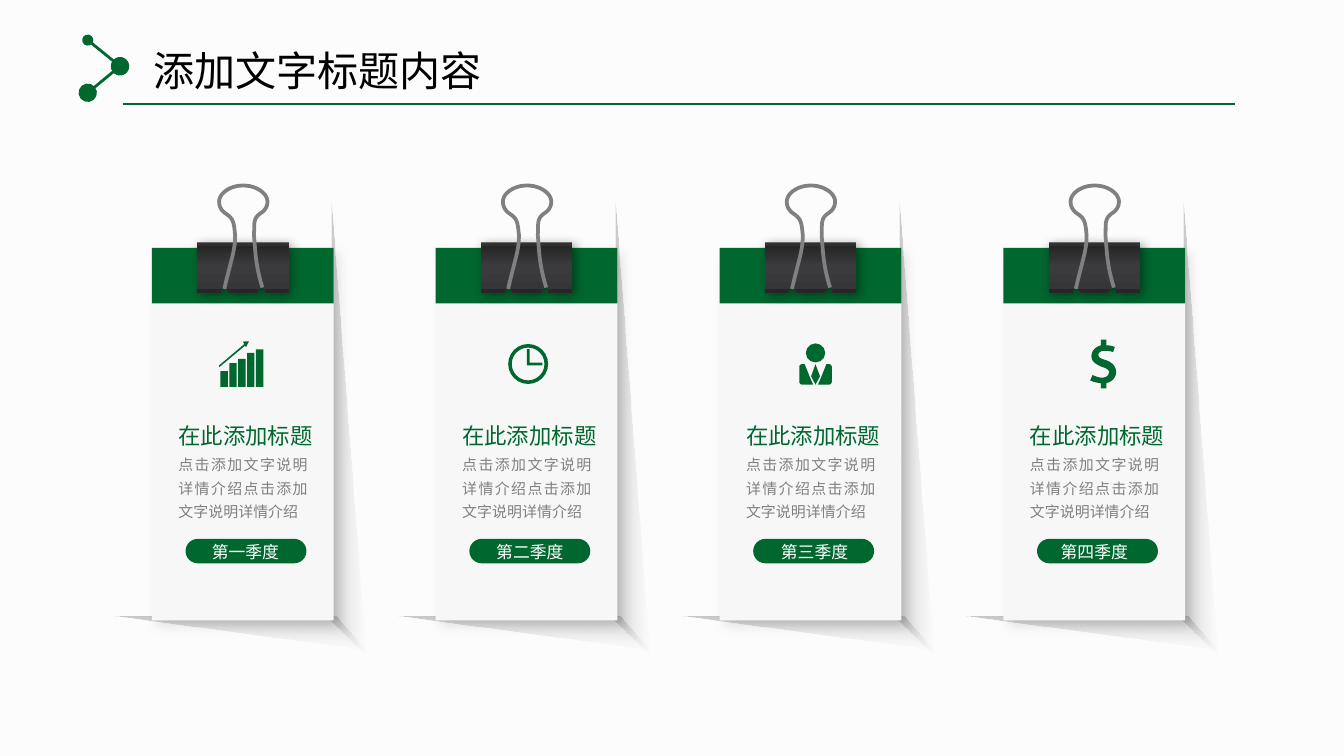
"""Build a slide of four quarterly cards held by binder clips."""
from dataclasses import dataclass
from typing import Callable

from lxml import etree
from pptx import Presentation
from pptx.dml.color import RGBColor
from pptx.enum.shapes import MSO_CONNECTOR, MSO_SHAPE
from pptx.enum.text import MSO_ANCHOR, MSO_AUTO_SIZE, PP_ALIGN
from pptx.oxml.ns import qn
from pptx.util import Pt

STRAIGHT = MSO_CONNECTOR.STRAIGHT
RECT, ROUND, OVAL, DONUT = (MSO_SHAPE.RECTANGLE, MSO_SHAPE.ROUNDED_RECTANGLE,
                            MSO_SHAPE.OVAL, MSO_SHAPE.DONUT)
LEFT, CENTER, JUSTIFY = PP_ALIGN.LEFT, PP_ALIGN.CENTER, PP_ALIGN.JUSTIFY
TOP, MIDDLE = MSO_ANCHOR.TOP, MSO_ANCHOR.MIDDLE
NO_RESIZE = MSO_AUTO_SIZE.NONE


@dataclass(frozen=True)
class Theme:
    """Colours, font and type sizes of the slide."""
    green: str = "00682F"
    paper: str = "F7F7F7"
    background: str = "FCFCFC"
    gray: str = "808080"
    white: str = "FFFFFF"
    black: str = "000000"
    font: str = "Noto Sans CJK SC"
    title: float = 22
    heading: float = 12
    label: float = 9
    body: float = 8


@dataclass(frozen=True)
class Stop:
    """One gradient stop, with position and opacity in percent."""
    position: int
    color: str
    opacity: int = 100


@dataclass(frozen=True)
class Shadow:
    """An outer shadow cast to the lower right."""
    opacity: int
    blur: float
    distance: float


@dataclass(frozen=True)
class Quarter:
    """One card: its label, the label's offset and its icon."""
    label: str
    label_left: float
    draw_icon: Callable


THEME = Theme()
FIRST_CARD, CARD_PITCH = 81.4, 152.05
CARD_TOP, CARD_WIDTH, CARD_HEIGHT = 132.8, 97.4, 199.6
FOLD = [Stop(0, THEME.gray, 44), Stop(100, "F3F3F3", 12)]
CLIP_METAL = [Stop(7, "313132"), Stop(7, "262626"), Stop(46, "3B3B3D"),
              Stop(93, "363638"), Stop(93, "262626")]
CLIP_BODY = [(24.2, 129.9), (73.4, 129.9), (73.4, 157), (60.4, 157), (60.4, 154.1),
             (58.2, 154.1), (56, 157), (41.6, 157), (39.4, 154.1), (37.2, 154.1),
             (37.2, 157), (24.2, 157)]
CLIP_WIRE = [(38.8, 154.8), (42.4, 139, 44.6, 134.6, 44.6, 126),
             (43.9, 120.2, 44.2, 117.4, 39.6, 114.5), (37.4, 113, 36, 110.9, 36, 108),
             (36, 103.7, 41.7, 99.4, 48.9, 99.4), (56.1, 99.4, 61.9, 103.7, 61.9, 108),
             (61.9, 110.9, 60.4, 113, 57.9, 114.5), (54, 117.4, 55, 120.2, 54.7, 126),
             (55.4, 134.6, 55.4, 141.8, 59.2, 154.1)]
DOLLAR = [(52.3, 208.1), (52.3, 205.2), (50.2, 205.2, 48, 204.5, 46.5, 203.8),
          (47.8, 200.9), (49.4, 201.6, 50.9, 202.3, 53, 202.3),
          (55.2, 202.3, 56.6, 200.9, 56.6, 199.4), (56.6, 198, 55.2, 197.3, 53, 196.6),
          (49.4, 195.1, 47.2, 193.7, 47.2, 190.8), (47.2, 187.9, 49.4, 185.8, 52.3, 185),
          (52.3, 182), (55.2, 182), (55.2, 185), (57.3, 185, 58.8, 185.5, 59.7, 185.9),
          (58.8, 188.6), (58, 188.4, 56.6, 187.9, 54.4, 187.9),
          (51.6, 187.9, 50.9, 189.4, 50.9, 190.1), (50.9, 191.5, 52.3, 192.2, 55.2, 193),
          (58.8, 194.4, 60.4, 196.6, 60.4, 199.4), (60.4, 201.6, 58.8, 204.5, 55.2, 205.2),
          (55.2, 208.1)]


def add_color(parent, color: str, opacity: int) -> None:
    """Add a colour with opacity to an XML element."""
    node = etree.SubElement(parent, qn("a:srgbClr"), val=color)
    etree.SubElement(node, qn("a:alpha"), val=str(opacity * 1000))


def paint(shape, fill: str | None, shadow: Shadow | None = None) -> None:
    """Set a plain fill, no outline and an optional shadow."""
    shape.fill.background()
    if fill:
        shape.fill.solid()
        shape.fill.fore_color.rgb = RGBColor.from_string(fill)
    shape.line.fill.background()
    shape.shadow.inherit = False
    if shadow:
        effects = shape._element.spPr.find(qn("a:effectLst"))
        outer = etree.SubElement(effects, qn("a:outerShdw"), blurRad=str(Pt(shadow.blur)),
                                 dist=str(Pt(shadow.distance)), dir=str(45 * 60000),
                                 algn="tl", rotWithShape="0")
        add_color(outer, THEME.black, shadow.opacity)


def paint_gradient(shape, stops: list[Stop], angle: int) -> None:
    """Replace an empty fill by a linear gradient."""
    properties = shape._element.spPr
    gradient = etree.Element(qn("a:gradFill"), rotWithShape="1")
    stop_list = etree.SubElement(gradient, qn("a:gsLst"))
    for stop in stops:
        node = etree.SubElement(stop_list, qn("a:gs"), pos=str(stop.position * 1000))
        add_color(node, stop.color, stop.opacity)
    etree.SubElement(gradient, qn("a:lin"), ang=str(angle * 60000), scaled="0")
    properties.replace(properties.find(qn("a:noFill")), gradient)


def add_block(slide, kind, left: float, top: float, width: float, height: float,
              fill: str = THEME.green, shadow: Shadow | None = None):
    """Add a filled preset shape."""
    block = slide.shapes.add_shape(kind, Pt(left), Pt(top), Pt(width), Pt(height))
    paint(block, fill, shadow)
    return block


def flatten(segments: list[tuple], steps: int = 12) -> list[tuple]:
    """Turn points and cubic curve segments into a list of points."""
    points = []
    for segment in segments:
        if len(segment) == 2:
            points.append(segment)
            continue
        controls = [points[-1], segment[:2], segment[2:4], segment[4:]]
        for step in range(1, steps + 1):
            t = step / steps
            weights = ((1 - t) ** 3, 3 * t * (1 - t) ** 2, 3 * t * t * (1 - t), t ** 3)
            points.append(tuple(sum(w * c[axis] for w, c in zip(weights, controls))
                                for axis in (0, 1)))
    return points


def add_outline(slide, left: float, segments: list[tuple], fill: str | None = THEME.green,
                shadow: Shadow | None = None, closed: bool = True):
    """Add a freeform whose x values start at left."""
    points = [(Pt(left + x), Pt(y)) for x, y in flatten(segments)]
    builder = slide.shapes.build_freeform(*points[0])
    builder.add_line_segments(points[1:], close=closed)
    outline = builder.convert_to_shape()
    paint(outline, fill, shadow)
    return outline


def write(frame, text: str, *, size: float, color: str, align=LEFT, anchor=MIDDLE,
          spacing: float | None = None, wrap: bool = False) -> None:
    """Write one formatted paragraph into a text frame."""
    frame.word_wrap, frame.auto_size, frame.vertical_anchor = wrap, NO_RESIZE, anchor
    paragraph = frame.paragraphs[0]
    paragraph.alignment = align
    if spacing:
        paragraph.line_spacing = Pt(spacing)
    run = paragraph.add_run()
    run.text = text
    run.font.size, run.font.name = Pt(size), THEME.font
    run.font.color.rgb = RGBColor.from_string(color)
    etree.SubElement(run._r.get_or_add_rPr(), qn("a:ea"), typeface=THEME.font)


def add_text(slide, left: float, top: float, width: float, height: float, text: str,
             **style) -> None:
    """Add a text box."""
    box = slide.shapes.add_textbox(Pt(left), Pt(top), Pt(width), Pt(height))
    write(box.text_frame, text, **style)


def add_line(slide, start: tuple, end: tuple, width: float, dots: dict[str, str]) -> None:
    """Add a green line with round ends of the given sizes."""
    line = slide.shapes.add_connector(STRAIGHT, *map(Pt, start + end))
    line.line.color.rgb = RGBColor.from_string(THEME.green)
    line.line.width = Pt(width)
    for end_name, size in dots.items():
        etree.SubElement(line.line._get_or_add_ln(), qn(f"a:{end_name}"),
                         type="oval", w=size, len=size)
    etree.SubElement(line._element.spPr, qn("a:effectLst"))


def draw_growth(slide, left: float) -> None:
    """Draw rising bars under an arrow."""
    for index, height in enumerate((8.5, 12.8, 15, 18.2, 20.1)):
        add_block(slide, RECT, left + 36.7 + 4.75 * index, 207.3 - height, 4, height)
    add_outline(slide, left, [(35.8, 195.9), (50.4, 183.6), (51, 184.3), (36.2, 196.6)])
    add_outline(slide, left, [(48.7, 183), (52, 182.9), (50.4, 186)])


def draw_clock(slide, left: float) -> None:
    """Draw a clock face with two hands."""
    face = add_block(slide, DONUT, left + 38.8, 184.3, 21.4, 21.4)
    face.adjustments[0] = 0.09
    add_outline(slide, left, [(48.8, 187), (50.3, 187), (50.3, 194.3), (57.2, 194.3),
                              (57.2, 195.8), (48.8, 195.8)])


def draw_person(slide, left: float) -> None:
    """Draw a person with a tie."""
    middle = left + 51.4
    add_outline(slide, middle, [(0, 206), (-2.4, 201.6), (0, 195.1), (2.4, 201.6)])
    add_block(slide, OVAL, middle - 5.2, 184, 10.4, 10.2)
    for side in (-1, 1):
        add_outline(slide, middle, [
            (side * 7.3, 195.1), (side * 5.8, 195.1), (side * 2.9, 202.3), (side * 1.3, 206),
            (side * 7.3, 206), (side * 8, 206, side * 8.7, 205.3, side * 8.7, 204.5),
            (side * 8.7, 196.6), (side * 8.7, 195.8, side * 8, 195.1, side * 7.3, 195.1)])


def draw_dollar(slide, left: float) -> None:
    """Draw a dollar sign."""
    add_outline(slide, left, DOLLAR)


def draw_card(slide, left: float, quarter: Quarter) -> None:
    """Draw one clipped card with its icon and texts."""
    side = add_outline(slide, left, [(95.7, 331.9), (114.4, 350.6), (96.4, 109.4)], None)
    paint_gradient(side, FOLD, 0)
    under = add_outline(slide, left, [(98.6, 330.5), (114.4, 347.8), (-19.5, 330.5)], None)
    paint_gradient(under, FOLD, 90)
    add_block(slide, RECT, left, CARD_TOP, CARD_WIDTH, CARD_HEIGHT, THEME.paper,
              Shadow(10, 6, 4))
    add_block(slide, RECT, left, CARD_TOP, CARD_WIDTH, 29.8)
    clip = add_outline(slide, left, CLIP_BODY, None, Shadow(40, 6, 2))
    paint_gradient(clip, CLIP_METAL, 90)
    wire = add_outline(slide, left, CLIP_WIRE, None, closed=False)
    wire.line.color.rgb = RGBColor.from_string(THEME.gray)
    wire.line.width = Pt(2)
    add_text(slide, left + 7.1, 222.5, 90, 21.6, "在此添加标题",
             size=THEME.heading, color=THEME.green)
    add_text(slide, left + 7.1, 237.6, 83.5, 45.4,
             "点击添加文字说明详情介绍点击添加文字说明详情介绍", size=THEME.body,
             color=THEME.gray, align=JUSTIFY, anchor=TOP, spacing=12.6, wrap=True)
    pill = add_block(slide, ROUND, left + 18, 288.7, 64.8, 13.1)
    pill.adjustments[0] = 0.5
    add_text(slide, left + quarter.label_left, 286.6, 50.4, 18, quarter.label,
             size=THEME.label, color=THEME.white, align=CENTER)
    quarter.draw_icon(slide, left)


def draw_header(slide) -> None:
    """Draw the title, its rule and the linked dots."""
    add_line(slide, (47, 21.5), (64.3, 35.5), 1.5, {"headEnd": "med", "tailEnd": "lg"})
    add_line(slide, (64.3, 35.5), (47, 49.7), 1.5, {"headEnd": "lg", "tailEnd": "lg"})
    add_line(slide, (66, 55.6), (661.6, 55.6), 1, {})
    title = slide.shapes.title
    title.left, title.top, title.width, title.height = map(Pt, (61.6, 21.6, 217.4, 32.4))
    write(title.text_frame, "添加文字标题内容", size=THEME.title, color=THEME.black,
          align=CENTER)


def main() -> None:
    """Build and save the slide."""
    deck = Presentation()
    deck.slide_width, deck.slide_height = Pt(720), Pt(405)
    slide = deck.slides.add_slide(deck.slide_layouts[5])
    slide.background.fill.solid()
    slide.background.fill.fore_color.rgb = RGBColor.from_string(THEME.background)
    draw_header(slide)
    quarters = [Quarter("第一季度", 24.9, draw_growth), Quarter("第二季度", 25.2, draw_clock),
                Quarter("第三季度", 25.7, draw_person), Quarter("第四季度", 23.5, draw_dollar)]
    for index, quarter in enumerate(quarters):
        draw_card(slide, FIRST_CARD + index * CARD_PITCH, quarter)
    deck.save("out.pptx")


if __name__ == "__main__":
    main()
